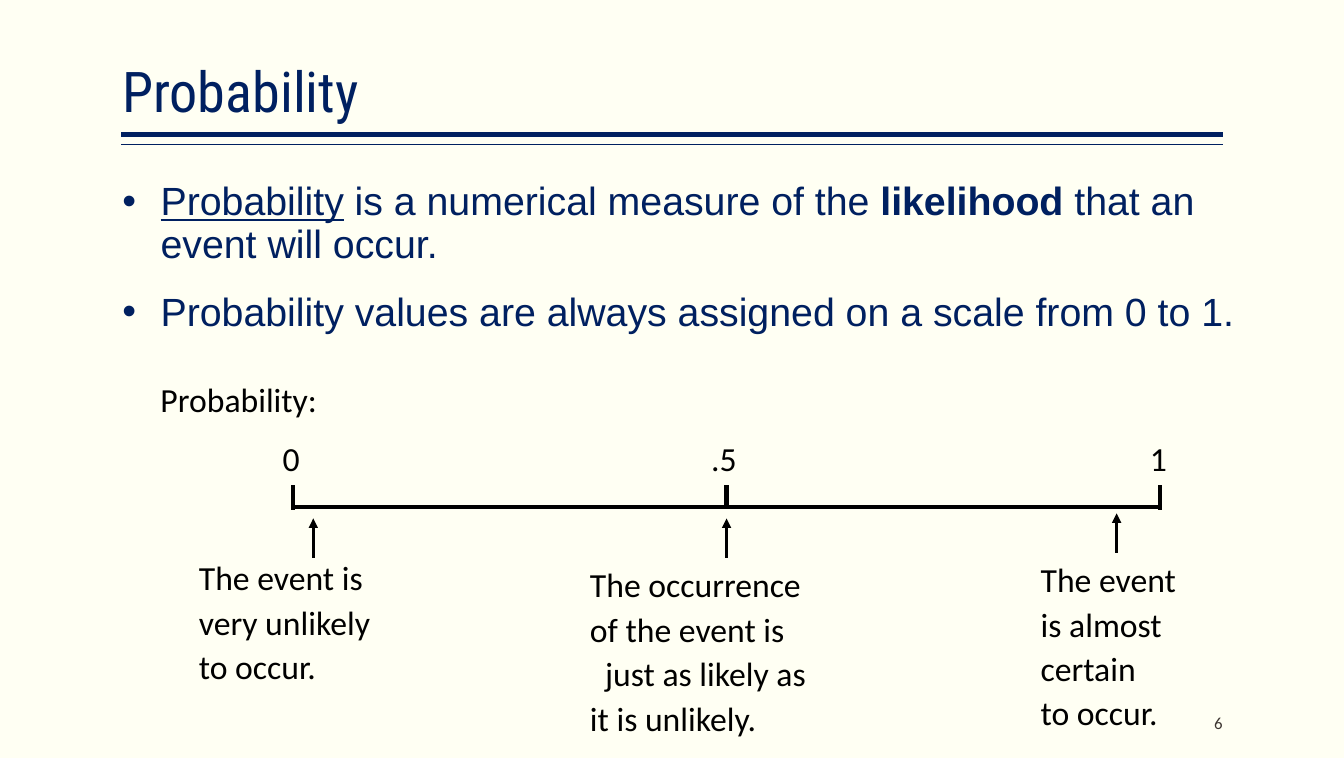
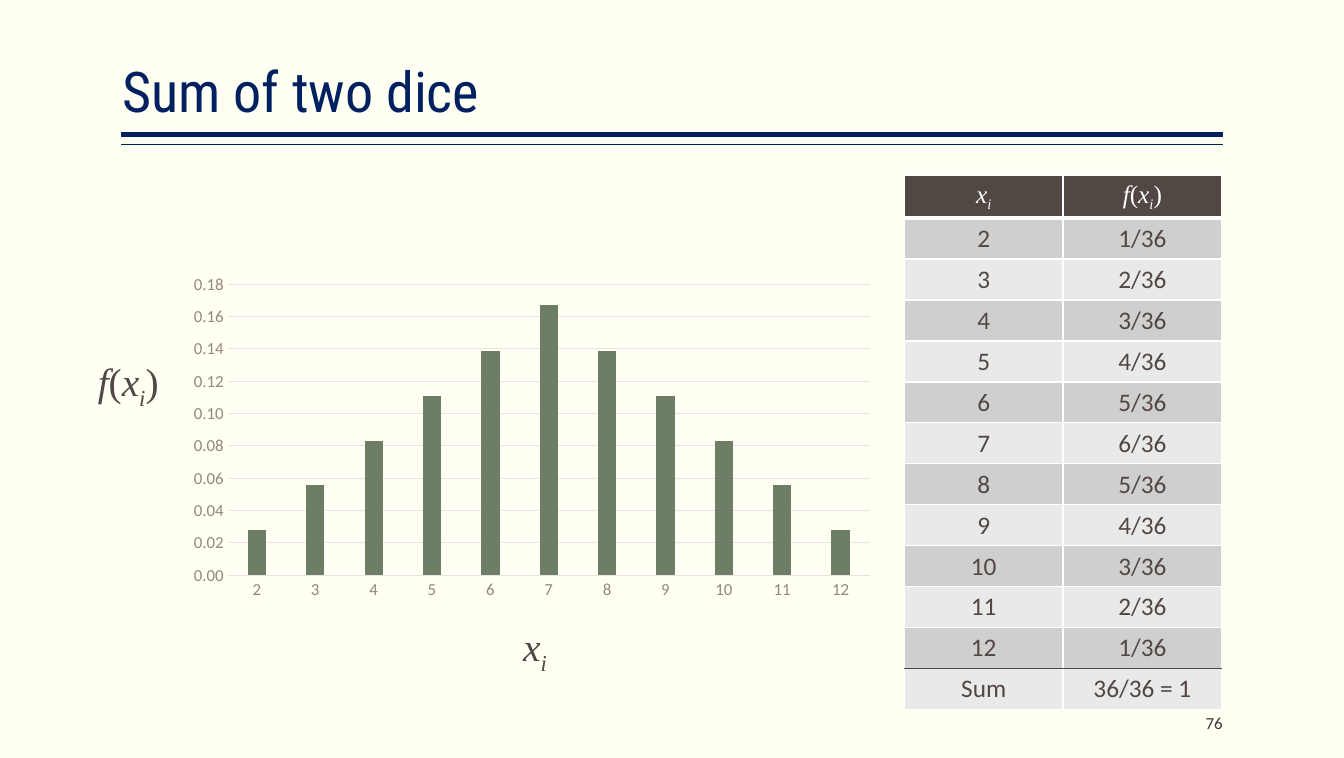
import pptx
import pptx.chart.data
import pptx.dml.color
import pptx.enum.chart
import pptx.enum.shapes
import pptx.enum.text
import pptx.oxml
import pptx.oxml.ns
import pptx.util

Inches, Pt = pptx.util.Inches, pptx.util.Pt
RGBColor = pptx.dml.color.RGBColor
Align = pptx.enum.text.PP_ALIGN
Anchor = pptx.enum.text.MSO_ANCHOR
qn = pptx.oxml.ns.qn

CREAM = RGBColor(0xFF, 0xFF, 0xF3)
NAVY = RGBColor(0x00, 0x20, 0x60)
BLACK = RGBColor(0x00, 0x00, 0x00)
WHITE = RGBColor(0xFF, 0xFF, 0xFF)
BROWN = RGBColor(0x51, 0x48, 0x43)
DARK = RGBColor(0x3D, 0x36, 0x32)
TAUPE = RGBColor(0x94, 0x86, 0x7E)
PALE = RGBColor(0xE6, 0xE3, 0xE1)
GREEN = RGBColor(0x6D, 0x7D, 0x66)
BANDS = [RGBColor(0xD0, 0xCF, 0xCF), RGBColor(0xE9, 0xE9, 0xE9)]

HEAD, LIST, BODY, MATH = "Roboto Condensed", "Arial", "Calibri", "Times New Roman"
LEFT, RIGHT = 1.2, 12.1

# Runs are (text, marks): b bold, i italic, u underline, s subscript
XI = [("x", "i"), ("i", "is")]
FXI = [("f", "i"), ("(", ""), *XI, (")", "")]


def node(tag, **attrs):
    item = pptx.oxml.parse_xml(f"<{tag} {pptx.oxml.ns.nsdecls('a')}/>")
    for key, value in attrs.items():
        item.set(key, str(value))
    return item


class Deck:
    def __init__(self):
        self.prs = pptx.Presentation()
        self.prs.slide_width = Inches(13.3)
        self.prs.slide_height = Inches(7.5)
        fill = self.prs.slide_master.background.fill
        fill.solid()
        fill.fore_color.rgb = CREAM

    def page(self, title, number, layout):
        """Start a slide with its title, double rule and number."""
        self.slide = self.prs.slides.add_slide(self.prs.slide_layouts[layout])
        self.shapes = self.slide.shapes
        frame = self.place(self.shapes.title, 1.21, 0.08, 10.89, 1.2, Anchor.BOTTOM)
        para = frame.paragraphs[0]
        para.alignment, para.line_spacing = Align.LEFT, 0.9
        self.runs(para, [(title, "")], HEAD, 40, NAVY)
        for y, width in ((1.33, 3), (1.43, 1)):
            self.line(LEFT, y, RIGHT, y, width, NAVY)
        self.text(10.1, 6.95, 2, 0.4, [[(str(number), "")]], size=12, color=DARK,
                  anchor=Anchor.MIDDLE, align=Align.RIGHT, side=0)

    def place(self, shape, x, y, w, h, anchor, side=0):
        shape.left, shape.top = Inches(x), Inches(y)
        shape.width, shape.height = Inches(w), Inches(h)
        frame = shape.text_frame
        frame.word_wrap = True
        frame.auto_size = pptx.enum.text.MSO_AUTO_SIZE.NONE
        frame.vertical_anchor = anchor
        frame.margin_left = frame.margin_right = Inches(side)
        frame.margin_top = frame.margin_bottom = Inches(0.05)
        return frame

    def runs(self, para, parts, face, size, color):
        for words, marks in parts:
            run = para.add_run()
            run.text = words
            font = run.font
            font.name, font.size, font.color.rgb = face, Pt(size), color
            font.bold, font.italic, font.underline = (m in marks for m in "biu")
            if "s" in marks:
                run._r.get_or_add_rPr().set("baseline", "-25000")

    def paras(self, frame, rows):
        for n, parts in enumerate(rows):
            yield n, frame.add_paragraph() if n else frame.paragraphs[0], parts

    def text(self, x, y, w, h, rows, face=BODY, size=24, color=BLACK, anchor=Anchor.TOP,
             align=Align.LEFT, side=0.1, space=1.0, inset=None):
        box = self.shapes.add_textbox(0, 0, 0, 0)
        frame = self.place(box, x, y, w, h, anchor, side)
        for n, para, parts in self.paras(frame, rows):
            para.alignment, para.line_spacing = align, space
            if n == inset:
                para._p.get_or_add_pPr().set("marL", str(Inches(0.15)))
            self.runs(para, parts, face, size, color)

    def list(self, x, y, w, h, rows):
        frame = self.place(self.slide.placeholders[1], x, y, w, h, Anchor.TOP)
        for n, para, parts in self.paras(frame, rows):
            para.line_spacing, para.space_before = 0.9, Pt(18 if n else 0)
            props = para._p.get_or_add_pPr()
            props.set("marL", str(Inches(0.38)))
            props.set("indent", str(-Inches(0.38)))
            props.append(node("a:buFont", typeface=LIST))
            props.append(node("a:buChar", char="•"))
            self.runs(para, parts, LIST, 28, NAVY)

    def line(self, x1, y1, x2, y2, width, color=BLACK, arrow=False):
        kind = pptx.enum.shapes.MSO_CONNECTOR.STRAIGHT
        item = self.shapes.add_connector(kind, Inches(x1), Inches(y1), Inches(x2), Inches(y2))
        item.line.width, item.line.color.rgb = Pt(width), color
        if arrow:
            item.line._get_or_add_ln().append(node("a:tailEnd", type="triangle"))
        item._element.spPr.append(node("a:effectLst"))

    def edge(self, cell, n, side, width, color):
        border = node(f"a:ln{side}", w=Pt(width))
        fill = node("a:solidFill")
        fill.append(node("a:srgbClr", val=color))
        border.append(fill)
        cell._tc.get_or_add_tcPr().insert(n, border)

    def table(self, x, y, w, h, rows):
        """Draw a banded table with a head row and a ruled total row."""
        last = len(rows) - 1
        grid = self.shapes.add_table(len(rows), len(rows[0]), Inches(x), Inches(y),
                                     Inches(w), Inches(h)).table
        for r, row in enumerate(rows):
            ink, face = (BROWN, BODY) if r else (WHITE, MATH)
            top = (1, BROWN) if r == last else (1 if r != 1 else 3, WHITE)
            base = (1, BROWN) if r == last - 1 else (1 if r else 3, WHITE)
            edges = {"L": (1, WHITE), "R": (1, WHITE), "T": top, "B": base}
            for c, parts in enumerate(row):
                cell = grid.cell(r, c)
                cell.vertical_anchor = Anchor.MIDDLE
                cell.fill.solid()
                cell.fill.fore_color.rgb = BANDS[(r - 1) % 2] if r else BROWN
                para = cell.text_frame.paragraphs[0]
                para.alignment = Align.CENTER
                self.runs(para, parts, face, 18, ink)
                for n, (side, (width, color)) in enumerate(edges.items()):
                    self.edge(cell, n, side, width, color)

    def chart(self, x, y, w, h, cats, vals):
        data = pptx.chart.data.CategoryChartData(number_format="0.00")
        data.categories = cats
        data.add_series("Series 1", vals)
        kind = pptx.enum.chart.XL_CHART_TYPE.COLUMN_CLUSTERED
        chart = self.shapes.add_chart(kind, Inches(x), Inches(y), Inches(w), Inches(h),
                                      data).chart
        chart.has_title = chart.has_legend = False
        chart.font.name, chart.font.size, chart.font.color.rgb = BODY, Pt(10), BROWN
        # Columns
        plot = chart.plots[0]
        plot.gap_width, plot.overlap, plot.vary_by_categories = 219, -27, False
        fill = plot.series[0].format.fill
        fill.solid()
        fill.fore_color.rgb = GREEN
        # Axes
        for axis in (chart.category_axis, chart.value_axis):
            axis.major_tick_mark = axis.minor_tick_mark = pptx.enum.chart.XL_TICK_MARK.NONE
            font = axis.tick_labels.font
            font.name, font.size, font.color.rgb = BODY, Pt(12), TAUPE
        axis.minimum_scale, axis.maximum_scale, axis.major_unit = 0, 0.18, 0.02
        axis.tick_labels.number_format = "0.00"
        axis.tick_labels.number_format_is_linked = False
        axis.format.line.fill.background()
        for line in (chart.category_axis.format.line, axis.major_gridlines.format.line):
            line.width, line.color.rgb = Pt(0.75), PALE
        # Plot area
        area = chart._chartSpace.chart.plotArea
        for old in area.findall(qn("c:layout")):
            area.remove(old)
        rules = [("layoutTarget", "inner"), ("xMode", "edge"), ("yMode", "edge"),
                 ("x", 0.07), ("y", 0.05), ("w", 0.9), ("h", 0.83)]
        inner = "".join(f'<c:{tag} val="{val}"/>' for tag, val in rules)
        area.insert(0, pptx.oxml.parse_xml(
            f"<c:layout {pptx.oxml.ns.nsdecls('c')}><c:manualLayout>{inner}"
            "</c:manualLayout></c:layout>"))


def scale(deck):
    deck.page("Probability", 6, 1)
    deck.list(1.21, 1.75, 11.08, 1.8, [
        [("Probability", "u"), (" is a numerical measure of the ", ""),
         ("likelihood", "b"), (" that an event will occur.", "")],
        [("Probability values are always assigned on a scale from 0 to 1.", "")]])

    # Scale with ticks and labels
    start, mid, end = 2.9, 7.19, 11.48
    deck.text(1.49, 3.7, 2.07, 0.5, [[("Probability:", "")]])
    deck.line(start, 5.02, end, 5.02, 3)
    for x, base, left, mark in ((start, 5.05, 2.7, "0"), (mid, 5.02, 6.94, ".5"),
                                (end, 5.05, 11.28, "1")):
        deck.line(x, 4.8, x, base, 3)
        deck.text(left, 4.28, 0.8, 0.5, [[(mark, "")]])

    # Arrows and captions
    notes = [
        (3.1, 5.13, 1.87, 5.21, 1.84, None,
         ["The event is", "very unlikely", "to occur."]),
        (mid, 5.13, 5.74, 5.38, 2.08, 2,
         ["The occurrence", "of the event is", "just as likely as", "it is unlikely."]),
        (11.05, 5.08, 10.2, 5.33, 2.08, None,
         ["The event", "is almost", "certain", "to occur."])]
    for x, tip, left, top, tall, inset, rows in notes:
        deck.line(x, tip + 0.39, x, tip, 2.25, arrow=True)
        deck.text(left, top, 2.6, tall, [[(row, "")] for row in rows],
                  anchor=Anchor.MIDDLE, space=1.1, inset=inset)


def dice(deck):
    deck.page("Sum of two dice", 76, 5)
    sums = range(2, 13)
    ways = [6 - abs(7 - total) for total in sums]
    rows = [[XI, FXI]]
    rows += [[[(str(s), "")], [(f"{n}/36", "")]] for s, n in zip(sums, ways)]
    rows.append([[("Sum", "")], [("36/36 = 1", "")]])
    deck.table(8.95, 1.74, 3.14, 5.27, rows)
    deck.chart(1.76, 2.64, 7.06, 3.47, [str(s) for s in sums],
               [round(n / 36, 3) for n in ways])
    for x, y, w, parts in ((5.08, 6.11, 0.6, XI), (0.87, 3.49, 0.9, FXI)):
        deck.text(x, y, w, 0.57, [parts], face=MATH, size=28, color=BROWN)


def main():
    deck = Deck()
    scale(deck)
    dice(deck)
    deck.prs.save("out.pptx")


if __name__ == "__main__":
    main()
